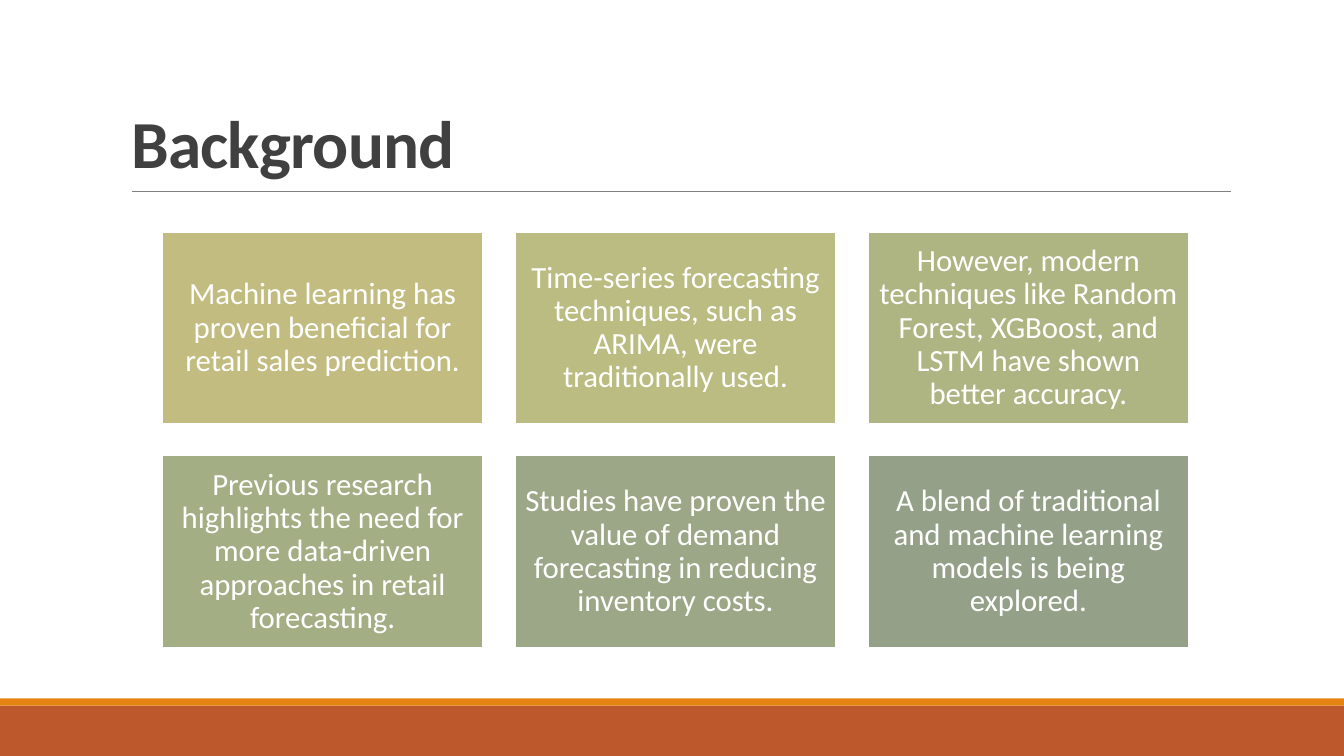
import pptx
import pptx.dml.color
import pptx.enum.shapes
import pptx.enum.text
import pptx.oxml.ns
import pptx.util
from lxml import etree

RGBColor = pptx.dml.color.RGBColor
PP_ALIGN = pptx.enum.text.PP_ALIGN
MSO_ANCHOR = pptx.enum.text.MSO_ANCHOR

WHITE = RGBColor(0xFF, 0xFF, 0xFF)
DARK_GREY = RGBColor(0x40, 0x40, 0x40)
RULE_GREY = RGBColor(0x80, 0x80, 0x80)
ORANGE = RGBColor(0xE4, 0x83, 0x12)
RUST = RGBColor(0xBD, 0x58, 0x2C)

FONT = "Calibri"
EMU_PER_PX = 9144  # 100 px to the inch

# Card grid, in px
COLUMNS = 3
GRID_LEFT, GRID_TOP = 161, 230
CARD_WIDTH, CARD_HEIGHT = 318, 191
COLUMN_STEP, ROW_STEP = 350, 222

CARDS = [
    ("Machine learning has proven beneficial for retail sales prediction.",
     RGBColor(0xC2, 0xBC, 0x80)),
    ("Time-series forecasting techniques, such as ARIMA, were traditionally used.",
     RGBColor(0xBA, 0xBC, 0x81)),
    ("However, modern techniques like Random Forest, XGBoost, and LSTM have shown better accuracy.",
     RGBColor(0xAE, 0xB5, 0x82)),
    ("Previous research highlights the need for more data-driven approaches in retail forecasting.",
     RGBColor(0xA3, 0xAE, 0x84)),
    ("Studies have proven the value of demand forecasting in reducing inventory costs.",
     RGBColor(0x9B, 0xA7, 0x86)),
    ("A blend of traditional and machine learning models is being explored.",
     RGBColor(0x94, 0xA0, 0x88)),
]


def px(length):
    return pptx.util.Emu(length * EMU_PER_PX)


def write_text(shape, text, *, size, color, bold=False, align=PP_ALIGN.LEFT,
               anchor=MSO_ANCHOR.MIDDLE, line_spacing=1.0, inset=10, tracking=0):
    frame = shape.text_frame
    frame.auto_size = pptx.enum.text.MSO_AUTO_SIZE.NONE
    frame.word_wrap = True
    frame.vertical_anchor = anchor
    frame.margin_left = frame.margin_right = px(inset)
    frame.margin_top = frame.margin_bottom = px(min(inset, 9))
    paragraph = frame.paragraphs[0]
    paragraph.alignment = align
    paragraph.line_spacing = line_spacing
    run = paragraph.add_run()
    run.text = text
    run.font.name = FONT
    run.font.size = pptx.util.Pt(size)
    run.font.bold = bold
    run.font.color.rgb = color
    if tracking:  # hundredths of a point
        run.font._element.set("spc", str(tracking))


def add_block(slide, left, top, width, height, fill, outline=None):
    block = slide.shapes.add_shape(
        pptx.enum.shapes.MSO_SHAPE.RECTANGLE, px(left), px(top), px(width), px(height))
    block.shadow.inherit = False
    block.fill.solid()
    block.fill.fore_color.rgb = fill
    if outline is None:
        block.line.fill.background()
    else:
        block.line.color.rgb = outline
        block.line.width = pptx.util.Pt(1.25)
    return block


def add_rule(slide, left, right, y):
    rule = slide.shapes.add_connector(
        pptx.enum.shapes.MSO_CONNECTOR.STRAIGHT, px(left), px(y), px(right), px(y))
    rule.line.color.rgb = RULE_GREY
    rule.line.width = pptx.util.Pt(0.5)
    etree.SubElement(rule._element.spPr, pptx.oxml.ns.qn("a:effectLst"))


def add_heading(slide, text):
    heading = slide.shapes.title
    heading.left, heading.top = px(120), px(31)
    heading.width, heading.height = px(1100), px(159)
    write_text(heading, text, size=48, color=DARK_GREY, bold=True,
               anchor=MSO_ANCHOR.BOTTOM, line_spacing=0.85, tracking=-50)


def add_cards(slide):
    for index, (statement, fill) in enumerate(CARDS):
        row, column = divmod(index, COLUMNS)
        card = add_block(slide, GRID_LEFT + column * COLUMN_STEP, GRID_TOP + row * ROW_STEP,
                         CARD_WIDTH, CARD_HEIGHT, fill, outline=WHITE)
        write_text(card, statement, size=22, color=WHITE, align=PP_ALIGN.CENTER,
                   line_spacing=0.9, inset=9)


def main():
    deck = pptx.Presentation()
    deck.slide_width, deck.slide_height = px(1333), px(750)
    slide = deck.slides.add_slide(deck.slide_layouts.get_by_name("Title Only"))

    # Footer bands
    add_block(slide, 0, 700, 1333, 50, RUST)
    add_block(slide, 0, 693, 1333, 7, ORANGE)

    # Heading and its rule
    add_heading(slide, "Background")
    add_rule(slide, 131, 1221, 190)

    add_cards(slide)
    deck.save("out.pptx")


if __name__ == "__main__":
    main()
